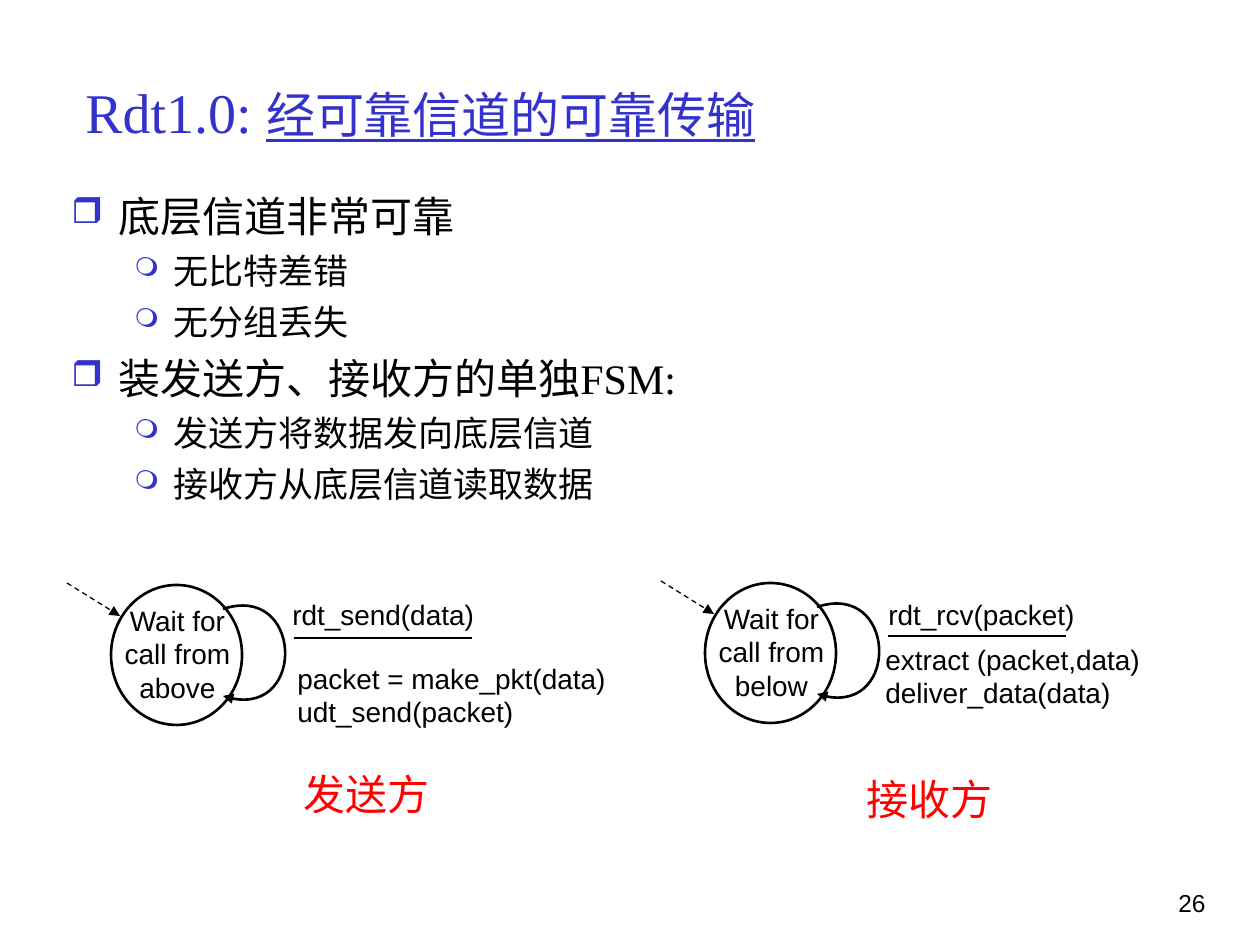
from pptx import Presentation
from pptx.dml.color import RGBColor
from pptx.enum.dml import MSO_LINE as Dash
from pptx.enum.shapes import MSO_SHAPE as Shape, MSO_CONNECTOR as Conn
from pptx.enum.text import PP_ALIGN as Align, MSO_ANCHOR as Anchor
from pptx.oxml.ns import qn
from pptx.util import Pt
from lxml.etree import SubElement as Sub

PX = 914400 / 126
BLUE, BLACK, WHITE, RED = "3333CC", "000000", "FFFFFF", "FF0000"
SERIF, SANS, HAND = "Times New Roman", "Arial", "Comic Neue"

TITLE = [("Rdt1.0: ", 32, False), ("经可靠信道的可靠传输", 28, True)]
BODY = [
    (0, "底层信道非常可靠"),
    (1, "无比特差错"),
    (1, "无分组丢失"),
    (0, "装发送方、接收方的单独FSM:"),
    (1, "发送方将数据发向底层信道"),
    (1, "接收方从底层信道读取数据"),
]
# level: size, space before, left margin, hang, bullet, bullet size
LEVELS = [(24, 6, 47, 47, "❒", 85), (20, 5, 102, 39, "❍", 75)]

# Each machine: shift from the first one, then texts with their boxes
SIDES = [
    dict(shift=(0, 0), state="Wait for call from above",
         event=("rdt_send(data)", (280, 591, 311, 59)),
         act=("packet = make_pkt(data)\nudt_send(packet)", (285, 655, 369, 82)),
         name=("发送方", (291, 762, 151, 63))),
    dict(shift=(594, -2), state="Wait for call from below",
         event=("rdt_rcv(packet)", (876, 591, 212, 47)),
         act=("extract (packet,data)\ndeliver_data(data)", (873, 636, 343, 59)),
         name=("接收方", (854, 767, 151, 63))),
]


def emu(*nums):
    return [round(n * PX) for n in nums]


def color(code):
    return RGBColor.from_string(code)


def style(font, size, face, code):
    font.size, font.name = Pt(size), face
    font.color.rgb = color(code)


def text(words, box, size, face=SANS, code=BLACK, align=Align.LEFT, wrap=True):
    frame = slide.shapes.add_textbox(*emu(*box)).text_frame
    frame.word_wrap = wrap
    frame.text = words
    for para in frame.paragraphs:
        para.alignment = align
        for run in para.runs:
            style(run.font, size, face, code)
    return frame


def stroke(item, width, arrow=False, dash=False):
    item.line.color.rgb = color(BLACK)
    item.line.width = Pt(width)
    if dash:
        item.line.dash_style = Dash.DASH
    if arrow:
        Sub(item.line._get_or_add_ln(), qn("a:tailEnd"), type="triangle")


def line(ends, *look):
    item = slide.shapes.add_connector(Conn.STRAIGHT, *emu(*ends))
    stroke(item, *look)
    Sub(item._element.spPr, qn("a:effectLst"))


def curve(points):
    spots = [emu(*p) for p in points]
    pen = slide.shapes.build_freeform(*spots[0])
    pen.add_line_segments(spots[1:], close=False)
    item = pen.convert_to_shape()
    # Join the three segments into one cubic curve
    track = next(item._element.iter(qn("a:path")))
    bend = Sub(track, qn("a:cubicBezTo"))
    for step in track.findall(qn("a:lnTo")):
        bend.append(step[0])
        track.remove(step)
    item.shadow.inherit = False
    item.fill.background()
    stroke(item, 1.5, True)


deck = Presentation()
deck.slide_width, deck.slide_height = emu(1260, 945)
slide = deck.slides.add_slide(deck.slide_layouts[6])

# Title
frame = text("", (73, 32, 1102, 158), 32)
frame.vertical_anchor = Anchor.MIDDLE
for words, size, under in TITLE:
    run = frame.paragraphs[0].add_run()
    run.text = words
    style(run.font, size, SERIF, BLUE)
    if under:
        run.font.underline = True

# Bulleted list
frame = text("\n".join(words for _, words in BODY), (59, 184, 1089, 416), 24, SERIF)
for i, (para, (level, _)) in enumerate(zip(frame.paragraphs, BODY)):
    size, gap, left, hang, mark, scale = LEVELS[level]
    para.level = level
    para.space_before = Pt(gap if i else 0)
    props = para._p.get_or_add_pPr()
    props.set("marL", str(emu(left)[0]))
    props.set("indent", str(emu(-hang)[0]))
    Sub(Sub(props, qn("a:buClr")), qn("a:srgbClr"), val=BLUE)
    Sub(props, qn("a:buSzPct"), val=str(scale * 1000))
    Sub(props, qn("a:buChar"), char=mark)
    style(para.runs[0].font, size, SERIF, BLACK)

# State machines
for side in SIDES:
    dx, dy = side["shift"]
    ring = slide.shapes.add_shape(Shape.OVAL, *emu(111 + dx, 585 + dy, 131, 140))
    ring.shadow.inherit = False
    ring.fill.solid()
    ring.fill.fore_color.rgb = color(WHITE)
    stroke(ring, 1.5)
    text(side["state"], (102 + dx, 597 + dy, 151, 126), 16, align=Align.CENTER)
    curve([(x + dx, y + dy) for x, y in
           [(223, 609), (302, 583), (307, 724), (223, 696)]])
    line((294 + dx, 638 + dy, 472 + dx, 638 + dy), 1.5)
    line((67 + dx, 583 + dy, 120 + dx, 616 + dy), 0.75, True, True)
    text(*side["event"], 16)
    text(*side["act"], 16)
    text(*side["name"], 24, HAND, RED, Align.CENTER, False)

# Page number
text("26", (1125, 882, 93, 63), 14, align=Align.RIGHT)

deck.save("out.pptx")
